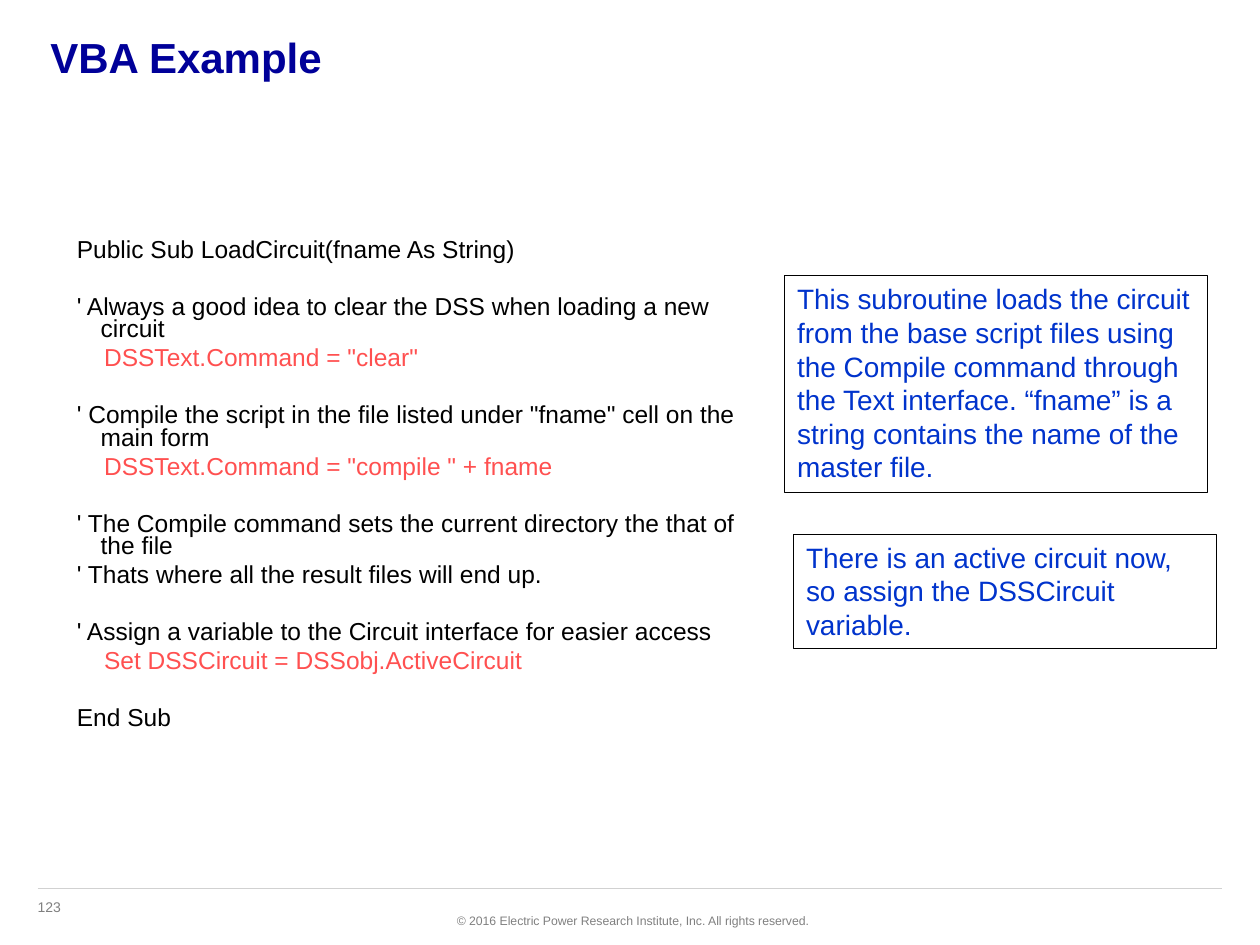
import pptx
import pptx.dml.color
import pptx.enum.shapes
import pptx.enum.text
import pptx.oxml
import pptx.util
from dataclasses import dataclass

Cm = pptx.util.Cm
Pt = pptx.util.Pt
Align = pptx.enum.text.PP_ALIGN
Anchor = pptx.enum.text.MSO_ANCHOR


@dataclass(frozen=True)
class Theme:
    font: str = "Arial"
    navy: str = "000099"
    blue: str = "0033CC"
    red: str = "FF5050"
    black: str = "000000"
    gray: str = "808080"
    rule: str = "D1D1D1"
    head: int = 24
    note: int = 16
    code: int = 14
    page: int = 8
    foot: int = 7
    gap: int = 4
    skip: int = 16


THEME = Theme()

CODE = [
    ["Public Sub LoadCircuit(fname As String)"],
    [
        "' Always a good idea to clear the DSS when loading a new circuit",
        '    DSSText.Command = "clear"',
    ],
    [
        "' Compile the script in the file listed under \"fname\" cell on the main form",
        '    DSSText.Command = "compile " + fname',
    ],
    [
        "' The Compile command sets the current directory the that of the file",
        "' Thats where all the result files will end up.",
    ],
    [
        "' Assign a variable to the Circuit interface for easier access",
        "    Set DSSCircuit = DSSobj.ActiveCircuit",
    ],
    ["End Sub"],
]

NOTES = [
    ((15.82, 5.56, 8.53, 4.37),
     "This subroutine loads the circuit from the base script files using "
     "the Compile command through the Text interface. “fname” is a string "
     "contains the name of the master file."),
    ((16, 10.77, 8.53, 2.31),
     "There is an active circuit now, so assign the DSSCircuit variable."),
]


def apply(item, values):
    for name, value in values.items():
        setattr(item, name, value)


def paint(color, tone):
    color.rgb = pptx.dml.color.RGBColor.from_string(tone)


def write(para, text, size, tone, bold=False):
    run = para.add_run()
    run.text = text
    apply(run.font, {"name": THEME.font, "size": Pt(size), "bold": bold})
    paint(run.font.color, tone)


def add_title(slide, text):
    title = slide.shapes.title
    apply(title, {"left": Cm(0.76), "top": Cm(0.51),
                  "width": Cm(23.88), "height": Cm(2.03)})
    apply(title.text_frame, {"vertical_anchor": Anchor.TOP, "word_wrap": True})
    para = title.text_frame.paragraphs[0]
    para.alignment = Align.LEFT
    write(para, text, THEME.head, THEME.navy, True)


def add_text(slide, box, wrap=True):
    frame = slide.shapes.add_textbox(*map(Cm, box)).text_frame
    apply(frame, {"word_wrap": wrap, "vertical_anchor": Anchor.TOP})
    return frame


def add_code(slide, box, blocks):
    frame = add_text(slide, box)
    frame.margin_top = Cm(0.8)
    para = frame.paragraphs[0]
    for part, block in enumerate(blocks):
        for row, line in enumerate(block):
            if part or row:
                para = frame.add_paragraph()
            props = para._p.get_or_add_pPr()
            props.set("marL", str(Cm(0.48)))
            props.set("indent", str(Cm(-0.48)))
            before = THEME.skip if part and not row else 0
            apply(para, {"line_spacing": 0.75, "space_before": Pt(before),
                         "space_after": Pt(THEME.gap)})
            tone = THEME.red if line.startswith(" ") else THEME.black
            write(para, line, THEME.code, tone)


def add_note(slide, box, text):
    kind = pptx.enum.shapes.MSO_SHAPE.RECTANGLE
    shape = slide.shapes.add_shape(kind, *map(Cm, box))
    shape.shadow.inherit = False
    shape.fill.background()
    shape.line.width = Pt(0.75)
    paint(shape.line.color, THEME.black)
    apply(shape.text_frame, {"word_wrap": True, "vertical_anchor": Anchor.TOP})
    para = shape.text_frame.paragraphs[0]
    para.alignment = Align.LEFT
    write(para, text, THEME.note, THEME.blue)


def add_rule(slide, left, right, top):
    kind = pptx.enum.shapes.MSO_CONNECTOR.STRAIGHT
    line = slide.shapes.add_connector(kind, *map(Cm, (left, top, right, top)))
    line.line.width = Pt(0.75)
    paint(line.line.color, THEME.rule)
    props = line._element.spPr
    props.append(pptx.oxml.parse_xml(
        '<a:effectLst xmlns:a="http://schemas.openxmlformats.org/drawingml/2006/main"/>'))


def add_foot(slide):
    page = add_text(slide, (0.51, 17.98, 1.68, 0.61))
    write(page.paragraphs[0], "123", THEME.page, THEME.gray)
    add_rule(slide, 0.76, 24.64, 17.91)
    para = add_text(slide, (8.66, 18.29, 7.9, 0.56), False).paragraphs[0]
    para.alignment = Align.RIGHT
    write(para, "© 2016 Electric Power Research Institute, Inc. All rights reserved.",
          THEME.foot, THEME.gray)


def main():
    deck = pptx.Presentation()
    apply(deck, {"slide_width": Cm(25.4), "slide_height": Cm(19.05)})
    slide = deck.slides.add_slide(deck.slide_layouts[5])
    add_foot(slide)
    add_title(slide, "VBA Example")
    add_code(slide, (1.3, 4.06, 13.92, 13.72), CODE)
    for box, text in NOTES:
        add_note(slide, box, text)
    deck.save("out.pptx")


if __name__ == "__main__":
    main()
